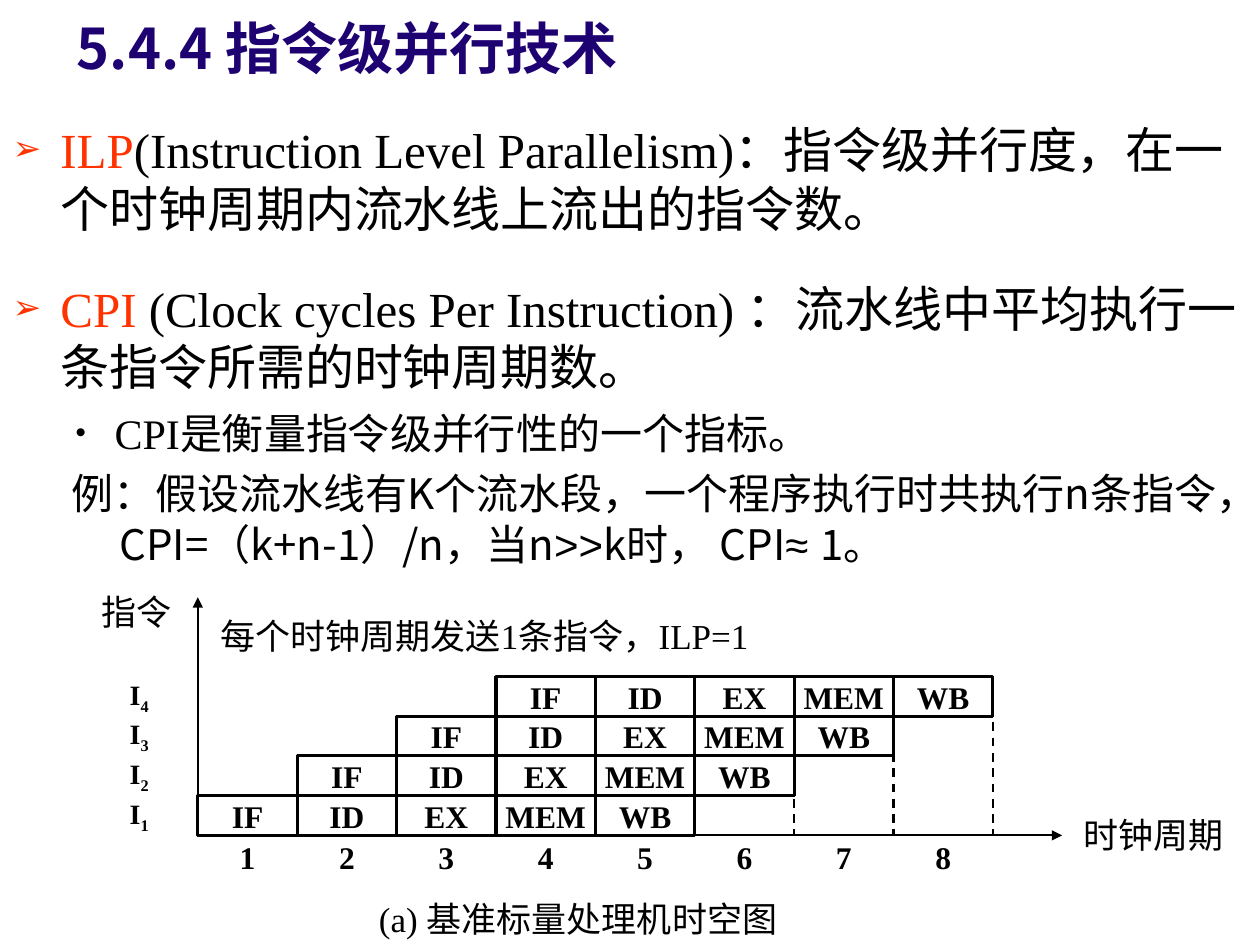
from lxml.etree import SubElement
from pptx import Presentation
from pptx.dml.color import RGBColor
from pptx.enum.dml import MSO_LINE
from pptx.enum.shapes import MSO_CONNECTOR, MSO_SHAPE
from pptx.enum.text import MSO_ANCHOR, MSO_AUTO_SIZE, PP_ALIGN
from pptx.oxml.ns import qn
from pptx.util import Inches, Pt

BLACK = RGBColor(0x00, 0x00, 0x00)
WHITE = RGBColor(0xFF, 0xFF, 0xFF)
NAVY = RGBColor(0x1F, 0x02, 0x72)
ORANGE = RGBColor(0xFF, 0x33, 0x00)

SERIF = "Times New Roman"
SANS = "Noto Sans CJK SC"
ARIAL = "Arial"

STAGES = ["IF", "ID", "EX", "MEM", "WB"]
INSTRUCTIONS = 4
CYCLES = 8
AXIS_LEFT, AXIS_BOTTOM = 1.57, 6.63
COLUMN_WIDTH = (7.88 - AXIS_LEFT) / CYCLES
ROW_HEIGHT = (AXIS_BOTTOM - 5.37) / INSTRUCTIONS


def add_span(para, text, size=20, font=SERIF, color=BLACK, bold=False, baseline=None):
    span = para.add_run()
    span.text = text
    span.font.size = Pt(size)
    span.font.bold = bold
    span.font.color.rgb = color
    span.font.name = font
    properties = span._r.get_or_add_rPr()
    SubElement(properties, qn("a:ea"), typeface=SANS)
    if baseline:
        properties.set("baseline", str(baseline * 1000))


def set_spacing(para, before, line):
    para.space_before = Pt(before)
    para.line_spacing = Pt(line)


def set_indent(para, left, hanging):
    properties = para._p.get_or_add_pPr()
    properties.set("marL", str(Inches(left)))
    properties.set("indent", str(-Inches(hanging)))


def set_bullet(para, character, color):
    properties = para._p.get_or_add_pPr()
    bullet_color = SubElement(properties, qn("a:buClr"))
    SubElement(bullet_color, qn("a:srgbClr"), val=str(color))
    SubElement(properties, qn("a:buSzPct"), val="70000")
    SubElement(properties, qn("a:buFont"), typeface=ARIAL)
    SubElement(properties, qn("a:buChar"), char=character)


def place(shape, left, top, width, height):
    shape.left, shape.top = Inches(left), Inches(top)
    shape.width, shape.height = Inches(width), Inches(height)


def fill_title(title):
    place(title, 0.51, -0.05, 9, 0.85)
    frame = title.text_frame
    frame.auto_size = MSO_AUTO_SIZE.NONE
    frame.vertical_anchor = MSO_ANCHOR.MIDDLE
    para = frame.paragraphs[0]
    para.alignment = PP_ALIGN.LEFT
    add_span(para, "5.4.4 指令级并行技术", size=32, font=SANS, color=NAVY, bold=True)


def start_definition(body, top, height, term, english, meaning):
    place(body, 0, top, 10, height)
    frame = body.text_frame
    frame.auto_size = MSO_AUTO_SIZE.NONE
    para = frame.paragraphs[0]
    set_spacing(para, 7, 33.5)
    set_indent(para, 0.38, 0.38)
    set_bullet(para, "➢", ORANGE)
    add_span(para, term, size=28, color=ORANGE)
    add_span(para, english, size=28)
    add_span(para, meaning, size=28, font=SANS)
    return frame


def add_remark(frame):
    para = frame.add_paragraph()
    para.level = 1
    set_spacing(para, 6, 29.5)
    set_indent(para, 0.81, 0.31)
    set_bullet(para, "•", BLACK)
    add_span(para, "CPI是衡量", size=24)
    add_span(para, "指令级并行性的一个指标。", size=24, font=SANS)


def add_text_box(page, left, top, width, height):
    box = page.shapes.add_textbox(*map(Inches, (left, top, width, height)))
    box.text_frame.word_wrap = True
    return box.text_frame.paragraphs[0]


def add_example(page):
    para = add_text_box(page, 0.47, 3.65, 9.53, 1.02)
    set_spacing(para, 6, 29.5)
    set_indent(para, 0.38, 0.38)
    for text, font in [
        ("例：假设流水线有K个流水段，一个程序执行时共执行n条指令，CPI=（k+n-1）/n，当n", SANS),
        (">>", ARIAL),
        ("k时， CPI", SANS),
        ("≈ ", ARIAL),
        ("1。", SANS),
    ]:
        add_span(para, text, size=24, font=font)


def add_label(page, text, left, top, width):
    para = add_text_box(page, left, top, width, 0.44)
    set_spacing(para, 12.5, 24.5)
    add_span(para, text)


def add_cell(page, text, left, top, size=18, line=None, weight=1.75, subscript=None):
    cell = page.shapes.add_shape(
        MSO_SHAPE.RECTANGLE, *map(Inches, (left, top, COLUMN_WIDTH, ROW_HEIGHT)))
    cell.shadow.inherit = False
    cell.fill.solid()
    cell.fill.fore_color.rgb = WHITE
    if line is None:
        cell.line.fill.background()
    else:
        cell.line.color.rgb = line
        cell.line.width = Pt(weight)
    frame = cell.text_frame
    frame.word_wrap = False
    frame.vertical_anchor = MSO_ANCHOR.MIDDLE
    para = frame.paragraphs[0]
    para.alignment = PP_ALIGN.CENTER
    add_span(para, text, size=size, bold=True)
    if subscript:
        add_span(para, subscript, size=size, bold=True, baseline=-25)


def add_line(page, start, end, dashed=False, arrow=False):
    line = page.shapes.add_connector(MSO_CONNECTOR.STRAIGHT, *map(Inches, start + end))
    line.line.color.rgb = BLACK
    line.line.width = Pt(1.25)
    if dashed:
        line.line.dash_style = MSO_LINE.DASH
    if arrow:
        SubElement(line.line._get_or_add_ln(), qn("a:tailEnd"), type="triangle")
    SubElement(line._element.spPr, qn("a:effectLst"))


def column_left(column):
    return AXIS_LEFT + column * COLUMN_WIDTH


def row_top(row):
    return AXIS_BOTTOM - (row + 1) * ROW_HEIGHT


def add_pipeline(page):
    for cycle in range(CYCLES):
        add_cell(page, str(cycle + 1), column_left(cycle), AXIS_BOTTOM + 0.01)
    for row in range(INSTRUCTIONS):
        for step, stage in enumerate(STAGES):
            add_cell(page, stage, column_left(row + step), row_top(row), line=BLACK)
        add_cell(page, "I", 0.71, row_top(row), size=16, line=WHITE, weight=1.25,
                 subscript=str(row + 1))
    for column in range(CYCLES - 2, CYCLES + 1):
        left = column_left(column)
        add_line(page, (left, row_top(INSTRUCTIONS - 1)), (left, AXIS_BOTTOM), dashed=True)
    for end in [(AXIS_LEFT, 4.74), (8.43, AXIS_BOTTOM)]:
        add_line(page, (AXIS_LEFT, AXIS_BOTTOM), end, arrow=True)


def main():
    deck = Presentation()
    deck.slide_width, deck.slide_height = Inches(10), Inches(7.5)
    page = deck.slides.add_slide(deck.slide_layouts[3])
    title, parallelism, cycles = page.placeholders
    fill_title(title)
    start_definition(parallelism, 0.9, 1.1, "ILP", "(Instruction Level Parallelism)",
                     "：指令级并行度，在一个时钟周期内流水线上流出的指令数。")
    frame = start_definition(cycles, 2.16, 1.73, "CPI", " (Clock cycles Per Instruction) ",
                             "：流水线中平均执行一条指令所需的时钟周期数。")
    add_remark(frame)
    add_example(page)
    add_pipeline(page)
    add_label(page, "(a) 基准标量处理机时空图", 2.91, 7.07, 3.86)
    add_label(page, "指令", 0.71, 4.63, 0.79)
    add_label(page, "时钟周期", 8.5, 6.4, 1.5)
    add_label(page, "每个时钟周期发送1条指令，ILP=1", 1.65, 4.82, 5.04)
    deck.save("out.pptx")


if __name__ == "__main__":
    main()
